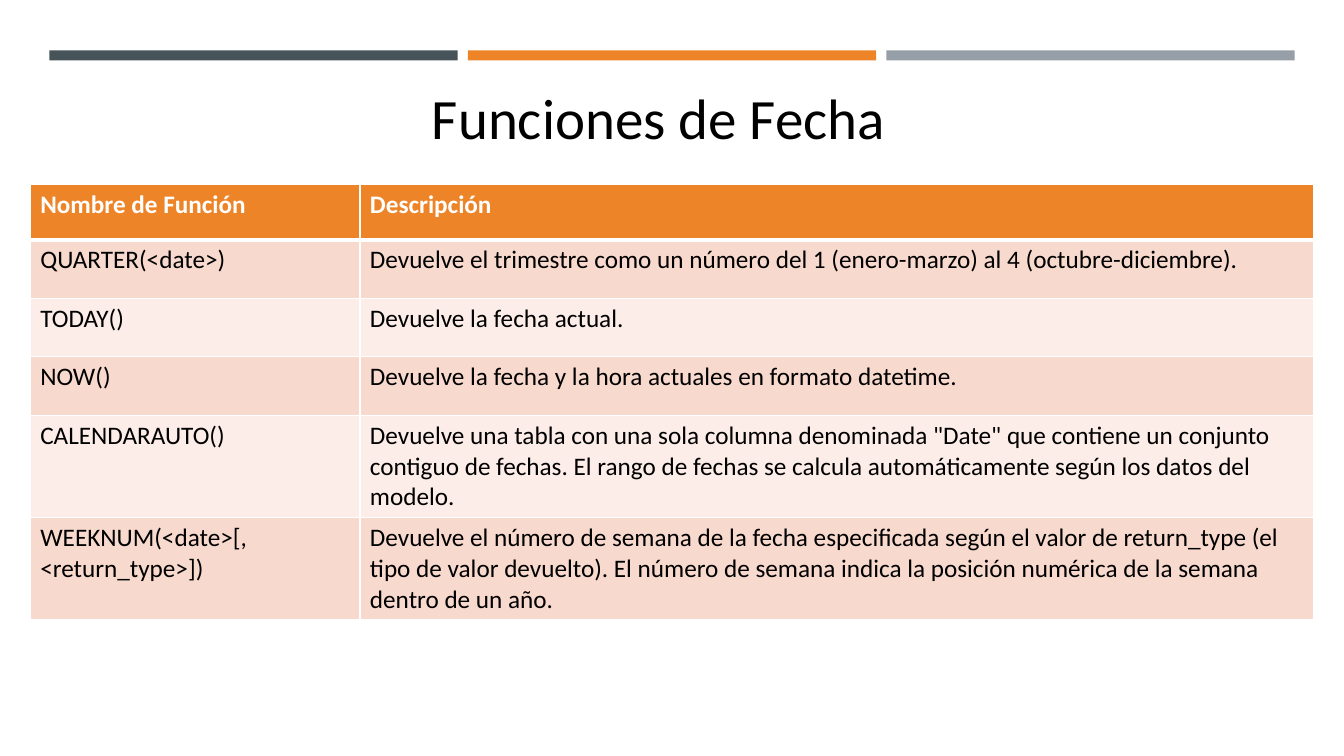
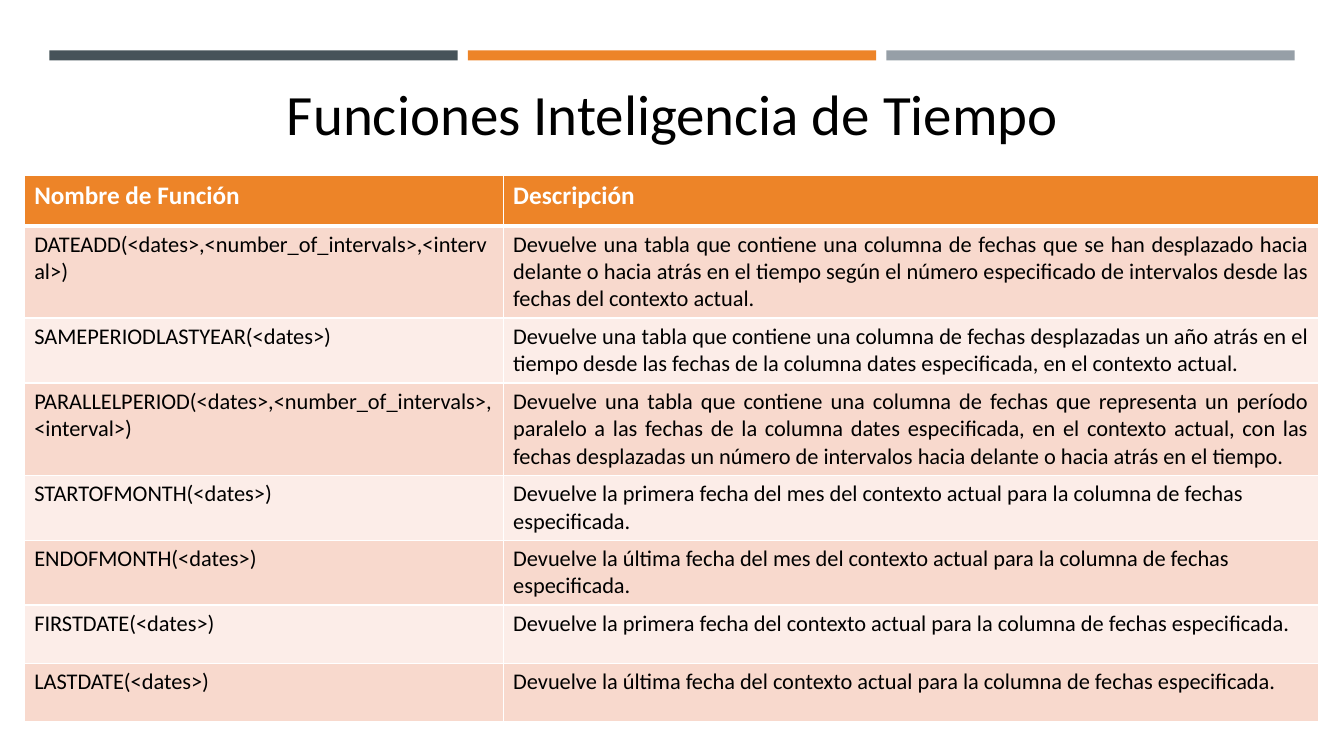
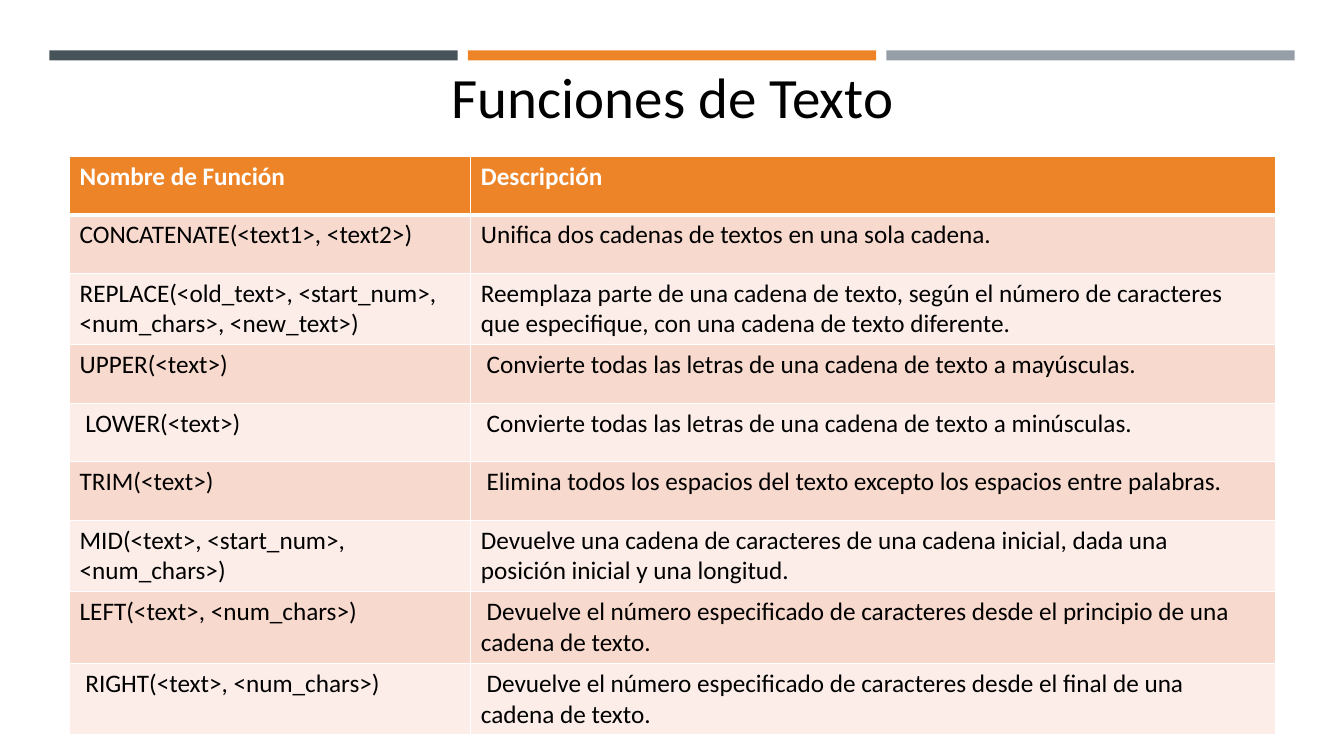
from dataclasses import dataclass

from lxml import etree
from pptx import Presentation
from pptx.dml import color
from pptx.enum import shapes, text
from pptx.oxml import ns
from pptx.util import Inches, Pt


@dataclass(frozen=True)
class Theme:
    font: str = "Calibri"
    black: str = "000000"
    white: str = "FFFFFF"
    accent: str = "ED8428"
    bands: tuple = ("465359", "ED8428", "969FA7")
    rows: tuple = ("F8D9CD", "FCEDE8")
    title_size: float = 40.7
    header_size: float = 18
    thin: float = 1
    thick: float = 3


THEME = Theme()
HEADER = ("Nombre de Función", "Descripción")

SLIDES = [
    dict(
        title="Funciones de Fecha",
        title_box=(1.26, 0.89, 10.54, 0.67),
        table_at=(0.3, 1.83),
        cols=(3.27, 9.46),
        header_height=0.55,
        size=18,
        justified=0,
        rows=[
            ("QUARTER(<date>)",
             "Devuelve el trimestre como un número del 1 (enero-marzo) al 4 (octubre-diciembre)."),
            ("TODAY()", "Devuelve la fecha actual."),
            ("NOW()", "Devuelve la fecha y la hora actuales en formato datetime."),
            ("CALENDARAUTO()",
             "Devuelve una tabla con una sola columna denominada \"Date\" que contiene un conjunto "
             "contiguo de fechas. El rango de fechas se calcula automáticamente según los datos del "
             "modelo."),
            ("WEEKNUM(<date>[, <return_type>])",
             "Devuelve el número de semana de la fecha especificada según el valor de return_type (el "
             "tipo de valor devuelto). El número de semana indica la posición numérica de la semana "
             "dentro de un año."),
        ],
    ),
    dict(
        title="Funciones Inteligencia de Tiempo",
        title_box=(1.4, 0.85, 10.54, 0.67),
        table_at=(0.24, 1.74),
        cols=(4.75, 8.09),
        header_height=0.5,
        size=16,
        justified=3,
        rows=[
            ("DATEADD(<dates>,<number_of_intervals>,<interval>)",
             "Devuelve una tabla que contiene una columna de fechas que se han desplazado hacia "
             "delante o hacia atrás en el tiempo según el número especificado de intervalos desde las "
             "fechas del contexto actual."),
            ("SAMEPERIODLASTYEAR(<dates>)",
             "Devuelve una tabla que contiene una columna de fechas desplazadas un año atrás en el "
             "tiempo desde las fechas de la columna dates especificada, en el contexto actual."),
            ("PARALLELPERIOD(<dates>,<number_of_intervals>,<interval>)",
             "Devuelve una tabla que contiene una columna de fechas que representa un período "
             "paralelo a las fechas de la columna dates especificada, en el contexto actual, con las "
             "fechas desplazadas un número de intervalos hacia delante o hacia atrás en el tiempo."),
            ("STARTOFMONTH(<dates>)",
             "Devuelve la primera fecha del mes del contexto actual para la columna de fechas "
             "especificada."),
            ("ENDOFMONTH(<dates>)",
             "Devuelve la última fecha del mes del contexto actual para la columna de fechas "
             "especificada."),
            ("FIRSTDATE(<dates>)",
             "Devuelve la primera fecha del contexto actual para la columna de fechas especificada."),
            ("LASTDATE(<dates>)",
             "Devuelve la última fecha del contexto actual para la columna de fechas especificada."),
        ],
    ),
    dict(
        title="Funciones de Texto",
        title_box=(1.4, 0.68, 10.54, 0.67),
        table_at=(0.69, 1.55),
        cols=(3.98, 7.98),
        header_height=0.58,
        size=18,
        justified=0,
        rows=[
            ("CONCATENATE(<text1>, <text2>)", "Unifica dos cadenas de textos en una sola cadena."),
            ("REPLACE(<old_text>, <start_num>,\n<num_chars>, <new_text>)",
             "Reemplaza parte de una cadena de texto, según el número de caracteres\n"
             "que especifique, con una cadena de texto diferente."),
            ("UPPER(<text>)", " Convierte todas las letras de una cadena de texto a mayúsculas."),
            (" LOWER(<text>)", " Convierte todas las letras de una cadena de texto a minúsculas."),
            ("TRIM(<text>)",
             " Elimina todos los espacios del texto excepto los espacios entre palabras."),
            ("MID(<text>, <start_num>, <num_chars>)",
             "Devuelve una cadena de caracteres de una cadena inicial, dada una\n"
             "posición inicial y una longitud."),
            ("LEFT(<text>, <num_chars>)",
             " Devuelve el número especificado de caracteres desde el principio de una "
             "cadena de texto."),
            (" RIGHT(<text>, <num_chars>)",
             " Devuelve el número especificado de caracteres desde el final de una\n"
             "cadena de texto."),
        ],
    ),
]


def rgb(value):
    return color.RGBColor.from_string(value)


def apply(target, values):
    for name, value in values.items():
        setattr(target, name, value)


def format_text(tf, size, ink, bold=False, **paragraph):
    for p in tf.paragraphs:
        apply(p, paragraph)
        for r in p.runs:
            apply(r.font, dict(name=THEME.font, size=Pt(size), bold=bold))
            r.font.color.rgb = rgb(ink)


def set_borders(cell, **widths):
    tc_pr = cell._tc.get_or_add_tcPr()
    for i, side in enumerate("LRTB"):
        ln = etree.Element(ns.qn(f"a:ln{side}"), w=str(Pt(widths.get(side, THEME.thin))))
        fill = etree.SubElement(ln, ns.qn("a:solidFill"))
        etree.SubElement(fill, ns.qn("a:srgbClr"), val=THEME.white)
        tc_pr.insert(i, ln)


def add_bands(s, left, top, width, height, gap):
    for i, fill in enumerate(THEME.bands):
        sp = s.shapes.add_shape(
            shapes.MSO_SHAPE.RECTANGLE,
            Inches(left + i * (width + gap)), Inches(top), Inches(width), Inches(height))
        sp.shadow.inherit = False
        sp.fill.solid()
        sp.fill.fore_color.rgb = rgb(fill)
        sp.line.fill.background()


def add_title(s, title, box):
    sp = s.shapes.title
    apply(sp, dict(zip(("left", "top", "width", "height"), map(Inches, box))))
    tf = sp.text_frame
    tf.text = title
    apply(tf, dict(word_wrap=True, auto_size=text.MSO_AUTO_SIZE.NONE,
                   vertical_anchor=text.MSO_ANCHOR.MIDDLE))
    format_text(tf, THEME.title_size, THEME.black,
                alignment=text.PP_ALIGN.CENTER, line_spacing=0.8)


def add_function_table(s, at, cols, header_height, rows, size, justified, row_height=0.58):
    heights = [header_height] + [row_height] * len(rows)
    left, top = at
    table = s.shapes.add_table(
        len(heights), len(cols), Inches(left), Inches(top),
        Inches(sum(cols)), Inches(sum(heights))).table
    for column, width in zip(table.columns, cols):
        column.width = Inches(width)
    for i, values in enumerate([HEADER] + rows):
        table.rows[i].height = Inches(heights[i])
        for j, value in enumerate(values):
            cell = table.cell(i, j)
            cell.text = value
            cell.fill.solid()
            if i == 0:
                cell.fill.fore_color.rgb = rgb(THEME.accent)
                format_text(cell.text_frame, THEME.header_size, THEME.white, bold=True)
                set_borders(cell, B=THEME.thick)
            else:
                cell.fill.fore_color.rgb = rgb(THEME.rows[(i - 1) % 2])
                justify = j == 1 and i <= justified
                format_text(cell.text_frame, size, THEME.black,
                            alignment=text.PP_ALIGN.JUSTIFY if justify else text.PP_ALIGN.LEFT)
                set_borders(cell, T=THEME.thick if i == 1 else THEME.thin)


def add_function_slide(prs, content):
    s = prs.slides.add_slide(prs.slide_layouts[5])
    add_bands(s, 0.49, 0.5, 4.05, 0.1, 0.1)
    add_title(s, content["title"], content["title_box"])
    add_function_table(s, content["table_at"], content["cols"], content["header_height"],
                       content["rows"], content["size"], content["justified"])


def main():
    prs = Presentation()
    apply(prs, dict(slide_width=Inches(13.33), slide_height=Inches(7.5)))
    for content in SLIDES:
        add_function_slide(prs, content)
    prs.save("out.pptx")


if __name__ == "__main__":
    main()
